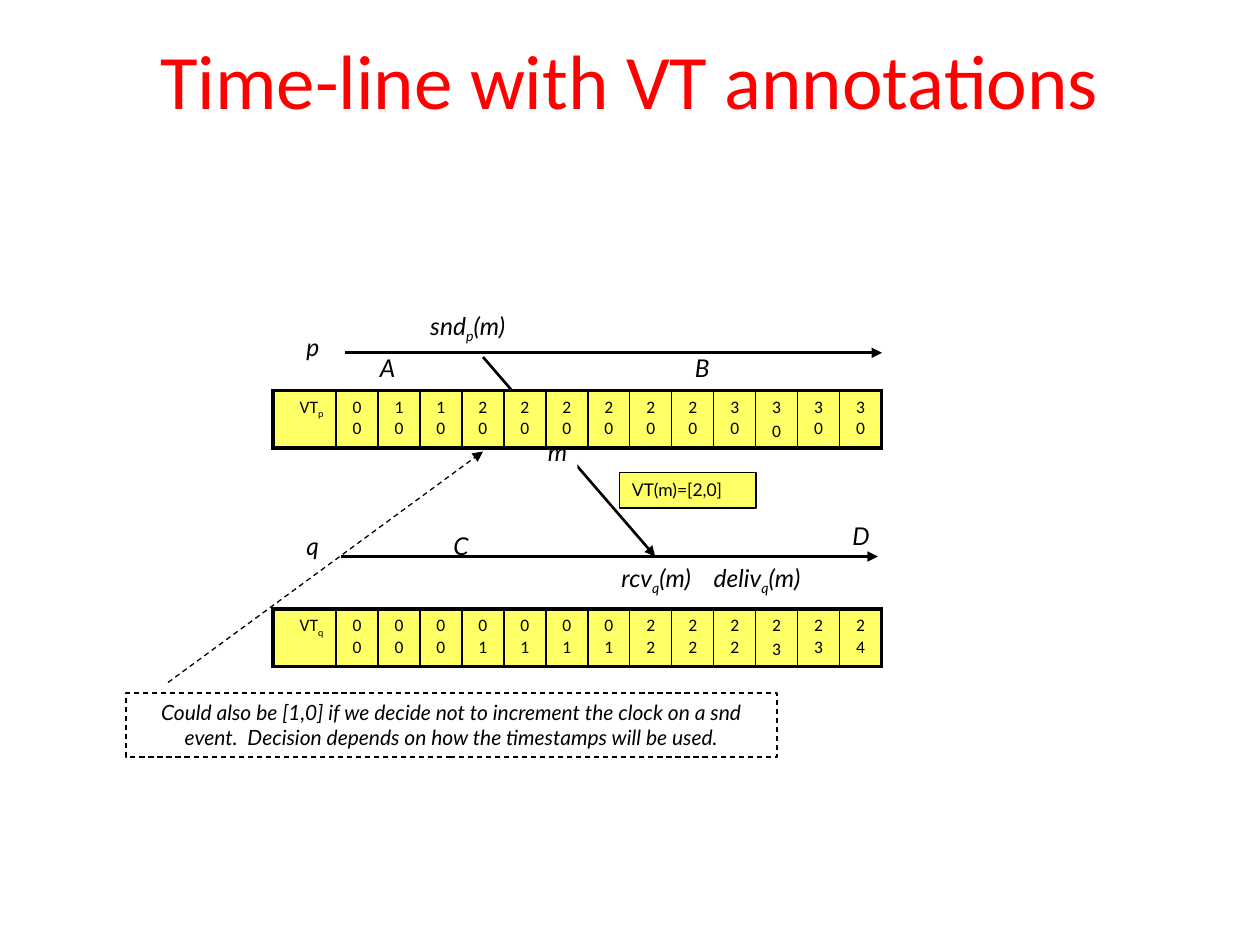
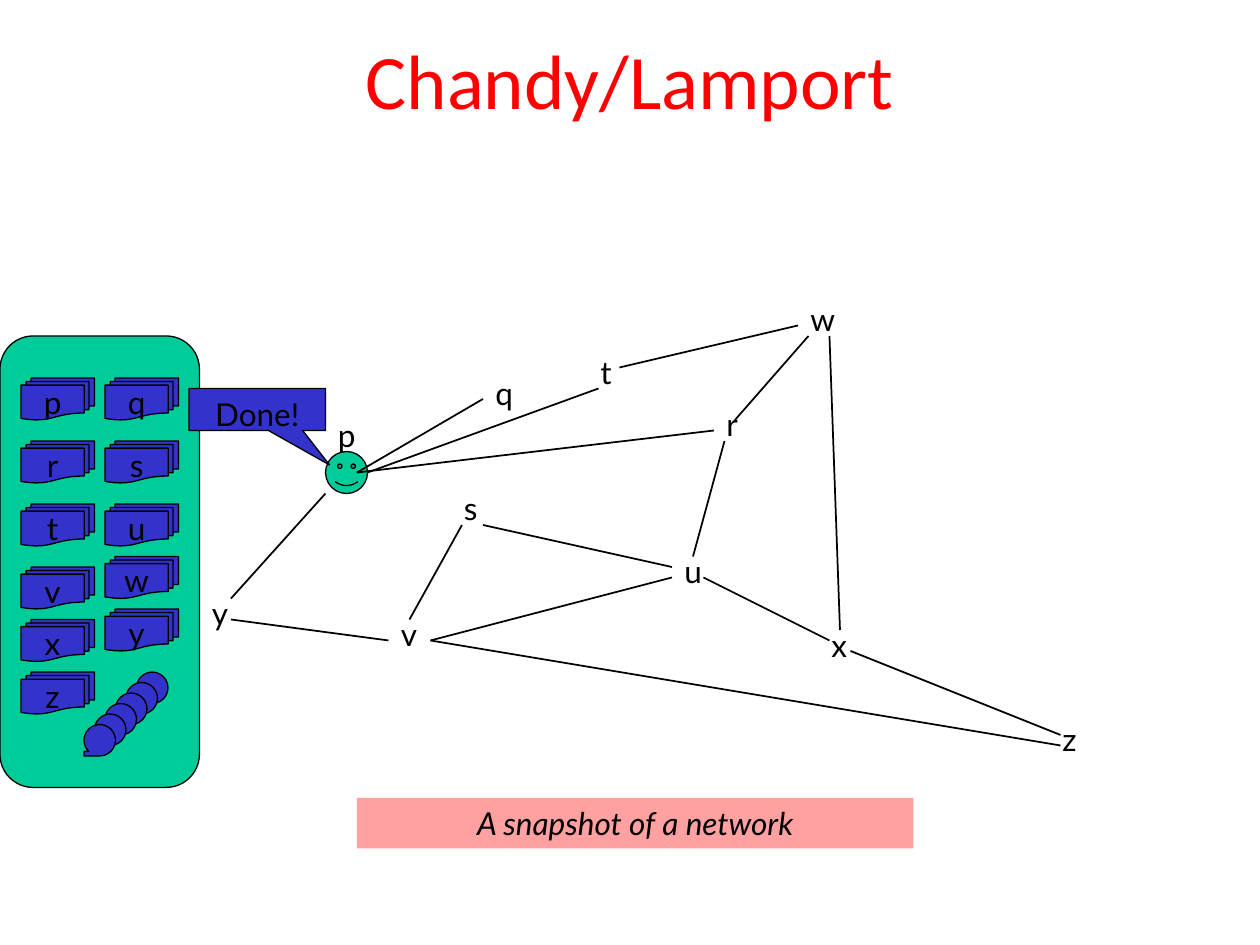
from dataclasses import dataclass

from lxml import etree
from pptx import Presentation
from pptx.dml.color import RGBColor
from pptx.enum.dml import MSO_LINE
from pptx.enum.shapes import MSO_CONNECTOR, MSO_SHAPE
from pptx.enum.text import MSO_ANCHOR, MSO_AUTO_SIZE, PP_ALIGN
from pptx.oxml.ns import qn
from pptx.util import Inches, Pt

STRAIGHT = MSO_CONNECTOR.STRAIGHT
RECT = MSO_SHAPE.RECTANGLE
PANEL = MSO_SHAPE.ROUNDED_RECTANGLE
SMILEY = MSO_SHAPE.SMILEY_FACE
CALLOUT = MSO_SHAPE.RECTANGULAR_CALLOUT
DOCUMENTS = MSO_SHAPE.FLOWCHART_MULTIDOCUMENT
TAPE = MSO_SHAPE.FLOWCHART_SEQUENTIAL_ACCESS_STORAGE
DASH = MSO_LINE.DASH
LEFT, CENTER, RIGHT = PP_ALIGN.LEFT, PP_ALIGN.CENTER, PP_ALIGN.RIGHT
TOP, MIDDLE = MSO_ANCHOR.TOP, MSO_ANCHOR.MIDDLE
GROW, FIXED = MSO_AUTO_SIZE.SHAPE_TO_FIT_TEXT, MSO_AUTO_SIZE.NONE

WIDTH, HEIGHT = Inches(10), Inches(7.5)
COLUMNS = 120
CELL = WIDTH / COLUMNS
COLORS = {
    "ink": "000000", "paper": "FFFFFF", "title": "FF0000", "clock": "FFFF66",
    "panel": "00CC99", "state": "3333CC", "caption": "FFA1A1",
}
TITLE_FONT = {"name": "Calibri", "size": Pt(44)}
CLOCK_FONT = {"name": "Calibri", "size": Pt(10)}
EVENT_FONT = {"name": "Lato", "size": Pt(14), "italic": True}
STAMP_FONT = {"name": "Lato", "size": Pt(10)}
NOTE_FONT = {"name": "Lato", "size": Pt(12), "italic": True}
NODE_FONT = {"name": "Lato", "size": Pt(18)}
CAPTION_FONT = {**NODE_FONT, "italic": True}

CLOCKS = {
    "p": "00 10 10 20 20 20 20 20 20 30 30 30 30",
    "q": "00 00 00 01 01 01 01 22 22 22 23 23 24",
}
SPLIT_STAMP = 10

NODES = {
    "p": (31, 39), "q": (46, 35), "r": (68, 38), "s": (43, 46),
    "t": (56, 33), "u": (64, 52), "v": (37, 58), "w": (76, 28),
    "x": (78, 59), "y": (19, 56), "z": (100, 68),
}
LINKS = [
    (31, 47, 22, 57), (22, 59, 37, 61), (44, 50, 39, 59), (34, 45, 68, 41),
    (34, 45, 46, 38), (35, 45, 57, 37), (70, 40, 77, 32), (69, 42, 66, 53),
    (41, 61, 101, 71), (41, 61, 64, 55), (59, 35, 76, 31), (79, 32, 80, 60),
    (67, 55, 79, 61), (46, 50, 64, 54), (81, 62, 101, 70),
]
STATE_COLUMNS = [
    (2, zip("prtvxz", (4, 10, 16, 22, 27, 32))),
    (10, zip("qsuwy", (4, 10, 16, 21, 26))),
]


@dataclass
class Box:
    left: float
    top: float
    width: float
    height: float

    def inner(self, left, top, width, height):
        return Box(self.left + left, self.top + top, width, height)

    def emu(self):
        sides = (self.left, self.top, self.width, self.height)
        return [round(side * CELL) for side in sides]


def color(name):
    return RGBColor.from_string(COLORS[name])


def apply(target, values):
    for name, value in values.items():
        setattr(target, name, value)


def write(para, parts, font, align=LEFT, ink="ink"):
    para.alignment = align
    for index, part in enumerate(parts):
        span = para.add_run()
        span.text = part
        apply(span.font, font)
        span.font.color.rgb = color(ink)
        if index % 2:
            span.font._element.set("baseline", "-25000")


def fill_text(shape, parts, font, align=LEFT, anchor=TOP, wrap=True, size=FIXED):
    apply(shape.text_frame, {"word_wrap": wrap, "vertical_anchor": anchor, "auto_size": size})
    write(shape.text_frame.paragraphs[0], parts, font, align)


def add_label(page, box, parts, font, size=FIXED):
    label = page.shapes.add_textbox(*box.emu())
    fill_text(label, parts, font, size=size)
    return label


def add_figure(page, box, kind, fill=None, line=0.75, dash=None):
    figure = page.shapes.add_shape(kind, *box.emu())
    figure.shadow.inherit = False
    if fill:
        figure.fill.solid()
        figure.fill.fore_color.rgb = color(fill)
    else:
        figure.fill.background()
    if line:
        figure.line.color.rgb = color("ink")
        apply(figure.line, {"width": Pt(line), "dash_style": dash})
    else:
        figure.line.fill.background()
    return figure


def add_line(page, box, ends, width, arrow=False, dash=None):
    start_x, start_y, end_x, end_y = ends
    points = (box.left + start_x, box.top + start_y, box.left + end_x, box.top + end_y)
    line = page.shapes.add_connector(STRAIGHT, *[round(value * CELL) for value in points])
    line.line.color.rgb = color("ink")
    apply(line.line, {"width": Pt(width), "dash_style": dash})
    if arrow:
        outline = line._element.spPr.find(qn("a:ln"))
        etree.SubElement(outline, qn("a:tailEnd"), type="triangle")
    etree.SubElement(line._element.spPr, qn("a:effectLst"))


def add_titled_page(deck, text):
    page = deck.slides.add_slide(deck.slide_layouts[5])
    title = page.shapes.title
    place = zip(("left", "top", "width", "height"), Box(0, 0, COLUMNS, 14.9).emu())
    apply(title, dict(place))
    title.text_frame.vertical_anchor = MIDDLE
    write(title.text_frame.paragraphs[0], [text], TITLE_FONT, CENTER, "title")
    return page


def set_borders(cell, widths):
    properties = cell._tc.get_or_add_tcPr()
    for index, (side, width) in enumerate(widths.items()):
        edge = etree.Element(qn(f"a:{side}"), w=str(Pt(width)))
        fill = etree.SubElement(edge, qn("a:solidFill"))
        etree.SubElement(fill, qn("a:srgbClr"), val=COLORS["ink"])
        properties.insert(index, edge)


def add_clock_table(page, box, process):
    stamps = CLOCKS[process].split()
    frame = page.shapes.add_table(1, len(stamps) + 1, *box.emu())
    table = frame.table
    apply(table, {"first_row": False, "horz_banding": False})
    table.rows[0].height = round(box.height * CELL)
    for index, column in enumerate(table.columns):
        column.width = round((4 if index else 6) * CELL)
        cell = table.cell(0, index)
        cell.fill.solid()
        cell.fill.fore_color.rgb = color("clock")
        set_borders(cell, {
            "lnL": 1 if index else 2.25,
            "lnR": 2.25 if index == len(stamps) else 1,
            "lnT": 2.25,
            "lnB": 2.25,
        })
        para = cell.text_frame.paragraphs[0]
        if index == 0:
            write(para, ["VT", process], CLOCK_FONT, RIGHT)
        elif index - 1 == SPLIT_STAMP:
            for row, digit in enumerate(stamps[index - 1]):
                para = cell.text_frame.add_paragraph() if row else para
                write(para, [digit], CLOCK_FONT, CENTER)
                para.space_before = Pt(1.4)
            continue
        else:
            write(para, [" ".join(stamps[index - 1])], CLOCK_FONT, CENTER)
        para.space_before = Pt(7.4)


def draw_timeline(page, box):
    for ends in ((6.9, 4.6, 58, 4.6), (6.5, 24, 57.6, 24), (20, 5, 36.4, 24)):
        add_line(page, box, ends, 1.5, arrow=True)
    for name, left, top, height in (("p", 2, 2, 11.9), ("q", 2, 21, 11.9), ("m", 25, 12, 4)):
        cover = add_figure(page, box.inner(left, top, 4, height), RECT, "paper", line=0)
        fill_text(cover, [name], EVENT_FONT)
    for name, left, top in (("D", 54, 20), ("A", 9, 4), ("C", 16, 21), ("B", 39, 4)):
        add_label(page, box.inner(left, top, 4, 4), [name], EVENT_FONT)
    for verb, process, left, top in (("rcv", "q", 32, 24), ("deliv", "q", 40.8, 24), ("snd", "p", 13.8, 0)):
        add_label(page, box.inner(left, top, 14.2, 4), [verb, process, "(m)"], EVENT_FONT)
    for process, top in (("q", 29), ("p", 8.2)):
        add_clock_table(page, box.inner(0, top, 58, 5.4), process)
    stamp = add_figure(page, box.inner(33, 16, 13, 3.4), RECT, "clock")
    fill_text(stamp, ["VT(m)=[2,0]"], STAMP_FONT, size=GROW)


def draw_remark(page, box):
    add_line(page, box, (4, -1, 34, -23), 0.75, arrow=True, dash=DASH)
    remark = add_figure(page, box, RECT, dash=DASH)
    fill_text(remark, ["Could also be [1,0] if we decide not to increment the clock on a snd event.  "
                       "Decision depends on how the timestamps will be used."], NOTE_FONT, CENTER, size=GROW)


def draw_network(page, box):
    add_figure(page, box.inner(31, 43, 4, 4), SMILEY, "panel")
    for name, (left, top) in NODES.items():
        add_label(page, box.inner(left, top, 5, 4.8), [name], NODE_FONT, GROW)
    for ends in LINKS:
        add_line(page, box, ends, 1)
    caption = add_figure(page, box.inner(34, 76, 53, 4.8), RECT, "caption", line=0)
    fill_text(caption, ["A snapshot of a network"], CAPTION_FONT, CENTER, size=GROW)


def draw_state_panel(page, box):
    add_figure(page, box, PANEL, "panel")
    for left, states in STATE_COLUMNS:
        for name, top in states:
            state = add_figure(page, box.inner(left, top, 7, 4), DOCUMENTS, "state")
            fill_text(state, [name], NODE_FONT, CENTER, MIDDLE, wrap=False)
    for step in range(6):
        tape = add_figure(page, box.inner(13 - step, 32 + step, 3, 3), TAPE, "state")
        tape._element.spPr.find(qn("a:xfrm")).set("flipH", "1")


def draw_callout(page, box):
    callout = add_figure(page, box, CALLOUT, "state")
    callout.adjustments[0] = 0.53
    callout.adjustments[1] = 1.32
    fill_text(callout, ["Done!"], NODE_FONT, CENTER)


def main():
    deck = Presentation()
    apply(deck, {"slide_width": WIDTH, "slide_height": HEIGHT})

    page = add_titled_page(deck, "Time-line with VT annotations")
    draw_timeline(page, Box(26, 29, 58, 34.4))
    draw_remark(page, Box(12, 66, 62, 6.1))

    page = add_titled_page(deck, "Chandy/Lamport")
    draw_network(page, Box(0, 0, COLUMNS, HEIGHT / CELL))
    draw_state_panel(page, Box(0, 32, 19, 43))
    draw_callout(page, Box(18, 37, 13, 4))

    deck.save("out.pptx")


if __name__ == "__main__":
    main()
